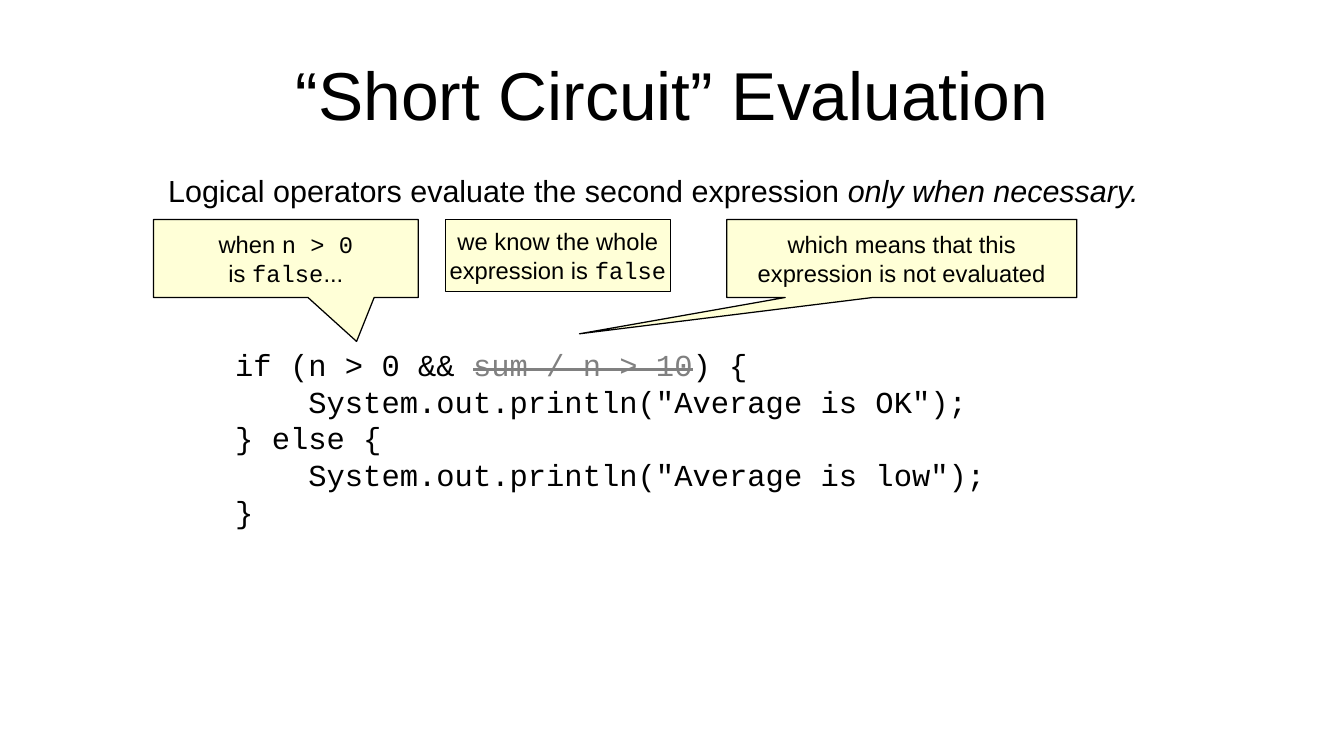
from pptx import Presentation
from pptx.dml.color import RGBColor
from pptx.enum.shapes import MSO_SHAPE
from pptx.enum.text import MSO_ANCHOR, PP_ALIGN
from pptx.util import Pt

RECT = MSO_SHAPE.RECTANGLE
WEDGE = MSO_SHAPE.RECTANGULAR_CALLOUT
TOP, MIDDLE = MSO_ANCHOR.TOP, MSO_ANCHOR.MIDDLE
LEFT, CENTER = PP_ALIGN.LEFT, PP_ALIGN.CENTER

THEME = {
    "sans": "Arial",
    "mono": "Courier New",
    "ink": RGBColor(0, 0, 0),
    "faded": RGBColor(0x80, 0x80, 0x80),
    "note": RGBColor(0xFF, 0xFF, 0xD7),
    "title": Pt(40),
    "body": Pt(18),
    "small": Pt(14),
}


def setup(frame, anchor, wrap, side=7.2, edge=3.6):
    frame.word_wrap = wrap
    frame.vertical_anchor = anchor
    frame.margin_left = frame.margin_right = Pt(side)
    frame.margin_top = frame.margin_bottom = Pt(edge)


def add_run(para, text, size, face="sans", color="ink"):
    run = para.add_run()
    run.text = text
    run.font.name = THEME[face]
    run.font.size = THEME[size]
    run.font.color.rgb = THEME[color]
    return run


deck = Presentation()
deck.slide_width, deck.slide_height = Pt(793.44), Pt(446.4)
slide = deck.slides.add_slide(deck.slide_layouts[6])
shapes = slide.shapes

# Title
title = shapes.add_textbox(Pt(39.6), Pt(18), Pt(714.24), Pt(74.88)).text_frame
setup(title, MIDDLE, True, 0, 0)
title.paragraphs[0].alignment = CENTER
add_run(title.paragraphs[0], "“Short Circuit” Evaluation", "title")

# Lead sentence, wide enough to stay on one line
lead = shapes.add_textbox(Pt(92.16), Pt(97.92), Pt(600), Pt(27.36)).text_frame
setup(lead, TOP, True)
para = lead.paragraphs[0]
add_run(para, "Logical operators evaluate the second expression ", "body")
add_run(para, "only when necessary.", "body").font.italic = True

# Code: (indent in characters, runs of text and colour)
CODE = [
    (0, [("if (n > 0 && ", "ink"), ("sum / n > 10", "faded"), (") {", "ink")]),
    (4, [('System.out.println("Average is OK");', "ink")]),
    (0, [("} else {", "ink")]),
    (4, [('System.out.println("Average is low");', "ink")]),
    (0, [("}", "ink")]),
]
CHAR = 10.8  # width of one monospaced character
code = shapes.add_textbox(Pt(131.76), Pt(200.88), Pt(457.2), Pt(109.44)).text_frame
setup(code, TOP, True)
for row, (indent, runs) in enumerate(CODE):
    para = code.add_paragraph() if row else code.paragraphs[0]
    para.alignment = LEFT
    para._p.get_or_add_pPr().set("marL", str(Pt(indent * CHAR)))
    for text, color in runs:
        run = add_run(para, text, "body", "mono", color)
        if color == "faded":
            run.font._element.set("strike", "sngStrike")

# Notes: left, width, height, tip of the wedge, lines of runs
NOTES = [
    (90.72, 156.24, 46.08, (0.267, 1.063), [
        [("when ", "sans"), ("n > 0", "mono")],
        [("is ", "sans"), ("false", "mono"), ("...", "sans")]]),
    (262.8, 133.2, 42.48, None, [
        [("we know the whole", "sans")],
        [("expression is ", "sans"), ("false", "mono")]]),
    (429.12, 206.64, 46.08, (-0.921, 0.965), [
        [("which means that this", "sans")],
        [("expression is not evaluated", "sans")]]),
]
for left, width, height, tip, lines in NOTES:
    kind = WEDGE if tip else RECT
    note = shapes.add_shape(kind, Pt(left), Pt(129.6), Pt(width), Pt(height))
    note.shadow.inherit = False
    note.fill.solid()
    note.fill.fore_color.rgb = THEME["note"]
    note.line.color.rgb = THEME["ink"]
    note.line.width = Pt(0.75)
    if tip:
        note.adjustments[0], note.adjustments[1] = tip
    setup(note.text_frame, MIDDLE, False)
    para = note.text_frame.paragraphs[0]
    para.alignment = CENTER
    for row, runs in enumerate(lines):
        if row:
            para.add_line_break()
        for text, face in runs:
            add_run(para, text, "small", face)

deck.save("out.pptx")
